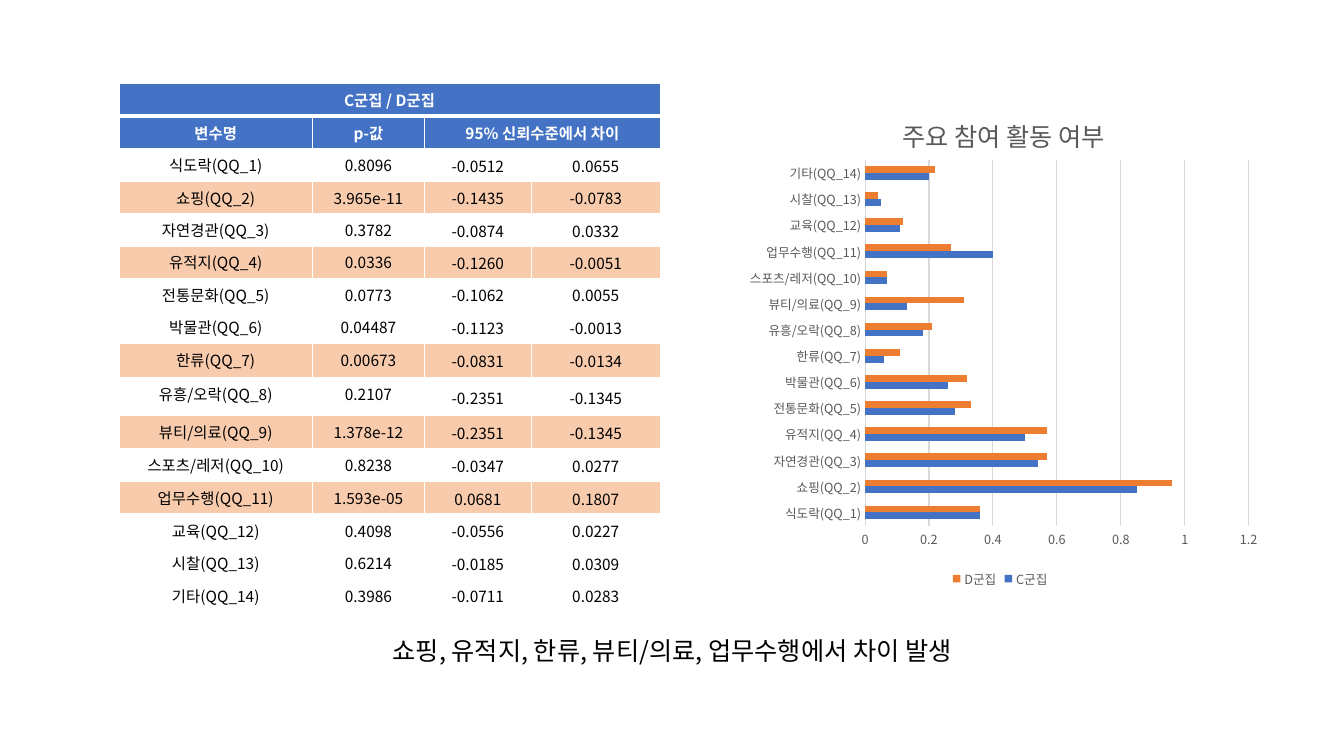
from lxml.etree import SubElement
from pptx import Presentation
from pptx.chart.data import CategoryChartData
from pptx.dml.color import RGBColor
from pptx.enum.chart import XL_CHART_TYPE as ChartType
from pptx.enum.chart import XL_LEGEND_POSITION as LegendPosition
from pptx.enum.chart import XL_TICK_MARK as TickMark
from pptx.enum.text import MSO_ANCHOR as Anchor
from pptx.enum.text import MSO_AUTO_SIZE as AutoSize
from pptx.enum.text import PP_ALIGN as Align
from pptx.oxml.ns import qn
from pptx.util import Pt

PX = 9144  # 100 px to the inch
FONT = "Noto Sans CJK KR"
WHITE = RGBColor(0xFF, 0xFF, 0xFF)
BLACK = RGBColor(0x00, 0x00, 0x00)
BLUE = RGBColor(0x44, 0x72, 0xC4)
ORANGE = RGBColor(0xED, 0x7D, 0x31)
PEACH = RGBColor(0xF8, 0xCB, 0xAD)
GRAY = RGBColor(0x59, 0x59, 0x59)
PALE_GRAY = RGBColor(0xD9, 0xD9, 0xD9)

# variable, p-value, lower and upper bound, share in cluster C, share in cluster D
ACTIVITIES = [
    ("식도락(QQ_1)", "0.8096", "-0.0512", "0.0655", 0.36, 0.36),
    ("쇼핑(QQ_2)", "3.965e-11", "-0.1435", "-0.0783", 0.85, 0.96),
    ("자연경관(QQ_3)", "0.3782", "-0.0874", "0.0332", 0.54, 0.57),
    ("유적지(QQ_4)", "0.0336", "-0.1260", "-0.0051", 0.5, 0.57),
    ("전통문화(QQ_5)", "0.0773", "-0.1062", "0.0055", 0.28, 0.33),
    ("박물관(QQ_6)", "0.04487", "-0.1123", "-0.0013", 0.26, 0.32),
    ("한류(QQ_7)", "0.00673", "-0.0831", "-0.0134", 0.06, 0.11),
    ("유흥/오락(QQ_8)", "0.2107", "-0.2351", "-0.1345", 0.18, 0.21),
    ("뷰티/의료(QQ_9)", "1.378e-12", "-0.2351", "-0.1345", 0.13, 0.31),
    ("스포츠/레저(QQ_10)", "0.8238", "-0.0347", "0.0277", 0.07, 0.07),
    ("업무수행(QQ_11)", "1.593e-05", "0.0681", "0.1807", 0.4, 0.27),
    ("교육(QQ_12)", "0.4098", "-0.0556", "0.0227", 0.11, 0.12),
    ("시찰(QQ_13)", "0.6214", "-0.0185", "0.0309", 0.05, 0.04),
    ("기타(QQ_14)", "0.3986", "-0.0711", "0.0283", 0.2, 0.22),
]
DIFFERING = {"쇼핑(QQ_2)", "유적지(QQ_4)", "한류(QQ_7)", "뷰티/의료(QQ_9)", "업무수행(QQ_11)"}
COLUMN_WIDTHS = [192, 111, 106, 128]
ROW_HEIGHT = 31
SPECIAL_HEIGHTS = {0: 30, 8: 34, 9: 38, 11: 33}


def px(*lengths):
    return [length * PX for length in lengths]


def style_font(font, size, color, bold=False):
    font.size, font.bold, font.name = Pt(size), bold, FONT
    font.color.rgb = color
    SubElement(font._rPr, qn("a:ea")).set("typeface", FONT)


def write_centered(frame, text, size, color, bold=False):
    paragraph = frame.paragraphs[0]
    paragraph.alignment = Align.CENTER
    run = paragraph.add_run()
    run.text = text
    style_font(run.font, size, color, bold)


def add_borders(cell, top=1, bottom=1):
    """Draw white borders, with the given top and bottom widths in points."""
    properties = cell._tc.get_or_add_tcPr()
    for side, width in (("L", 1), ("R", 1), ("T", top), ("B", bottom)):
        line = SubElement(properties, qn(f"a:ln{side}"), w=str(Pt(width)))
        fill = SubElement(line, qn("a:solidFill"))
        SubElement(fill, qn("a:srgbClr"), val=str(WHITE))


def fill_row(table, row, texts, fill, color, bold=False):
    for column, text in enumerate(texts):
        cell = table.cell(row, column)
        add_borders(cell, top=3 if row == 1 else 1, bottom=3 if row == 0 else 1)
        cell.fill.solid()
        cell.fill.fore_color.rgb = fill
        if row > 1 and column > 1:
            cell.vertical_anchor = Anchor.MIDDLE
            cell.margin_left, cell.margin_right, cell.margin_top, cell.margin_bottom = px(1, 1, 1, 0)
        if text:
            write_centered(cell.text_frame, text, 11, color, bold)


def add_difference_table(slide):
    row_count = len(ACTIVITIES) + 2
    table = slide.shapes.add_table(row_count, len(COLUMN_WIDTHS), *px(118, 83, 536, 504)).table
    table.first_row = table.horz_banding = False
    for column, width in zip(table.columns, COLUMN_WIDTHS):
        column.width = width * PX
    for index, row in enumerate(table.rows):
        row.height = SPECIAL_HEIGHTS.get(index, ROW_HEIGHT) * PX

    fill_row(table, 0, ["C군집 / D군집", "", "", ""], BLUE, WHITE, True)
    fill_row(table, 1, ["변수명", "p-값", "95% 신뢰수준에서 차이", ""], BLUE, WHITE, True)
    table.cell(0, 0).merge(table.cell(0, 3))
    table.cell(1, 2).merge(table.cell(1, 3))
    for row, (variable, p_value, lower, upper, *_) in enumerate(ACTIVITIES, 2):
        fill = PEACH if variable in DIFFERING else WHITE
        fill_row(table, row, [variable, p_value, lower, upper], fill, BLACK)


def set_layout(part, index, **settings):
    """Give a chart part a manual layout as its child at the index."""
    for old in part.findall(qn("c:layout")):
        part.remove(old)
    layout = SubElement(part, qn("c:layout"))
    part.insert(index, layout)
    manual = SubElement(layout, qn("c:manualLayout"))
    for tag, value in settings.items():
        SubElement(manual, qn(f"c:{tag}"), val=str(value))


def style_axis(axis):
    axis.major_tick_mark = axis.minor_tick_mark = TickMark.NONE
    style_font(axis.tick_labels.font, 9, GRAY)


def style_line(line):
    line.color.rgb = PALE_GRAY
    line.width = Pt(0.75)


def add_activity_chart(slide):
    data = CategoryChartData()
    data.categories = [activity[0] for activity in ACTIVITIES]
    data.add_series("C군집", [activity[4] for activity in ACTIVITIES])
    data.add_series("D군집", [activity[5] for activity in ACTIVITIES])
    chart = slide.shapes.add_chart(ChartType.BAR_CLUSTERED, *px(724, 83, 536, 504), data).chart
    style_font(chart.font, 10, BLACK)

    title = chart.chart_title
    write_centered(title.text_frame, "주요 참여 활동 여부", 18, GRAY)
    set_layout(title._element, 1, xMode="edge", yMode="edge", x=0.31, y=0.05)
    set_layout(chart._chartSpace.chart.plotArea, 0, layoutTarget="inner",
               xMode="edge", yMode="edge", x=0.25, y=0.15, w=0.71, h=0.72)

    chart.has_legend = True
    chart.legend.position = LegendPosition.BOTTOM
    chart.legend.include_in_layout = False
    style_font(chart.legend.font, 9, GRAY)

    categories, shares = chart.category_axis, chart.value_axis
    style_axis(categories)
    style_line(categories.format.line)
    style_axis(shares)
    shares.minimum_scale, shares.maximum_scale, shares.major_unit = 0, 1.2, 0.2
    shares.format.line.fill.background()
    style_line(shares.major_gridlines.format.line)

    bars = chart.plots[0]
    bars.gap_width = 182
    bars.vary_by_categories = False
    for cluster, color in zip(bars.series, (BLUE, ORANGE)):
        cluster.format.fill.solid()
        cluster.format.fill.fore_color.rgb = color


def add_conclusion(slide):
    frame = slide.shapes.add_textbox(*px(207, 625, 919, 40)).text_frame
    frame.word_wrap = True
    frame.auto_size = AutoSize.SHAPE_TO_FIT_TEXT
    write_centered(frame, "쇼핑, 유적지, 한류, 뷰티/의료, 업무수행에서 차이 발생", 18, BLACK)


def main():
    deck = Presentation()
    deck.slide_width, deck.slide_height = px(1333, 750)
    slide = deck.slides.add_slide(deck.slide_layouts[6])
    add_difference_table(slide)
    add_activity_chart(slide)
    add_conclusion(slide)
    deck.save("out.pptx")


if __name__ == "__main__":
    main()
